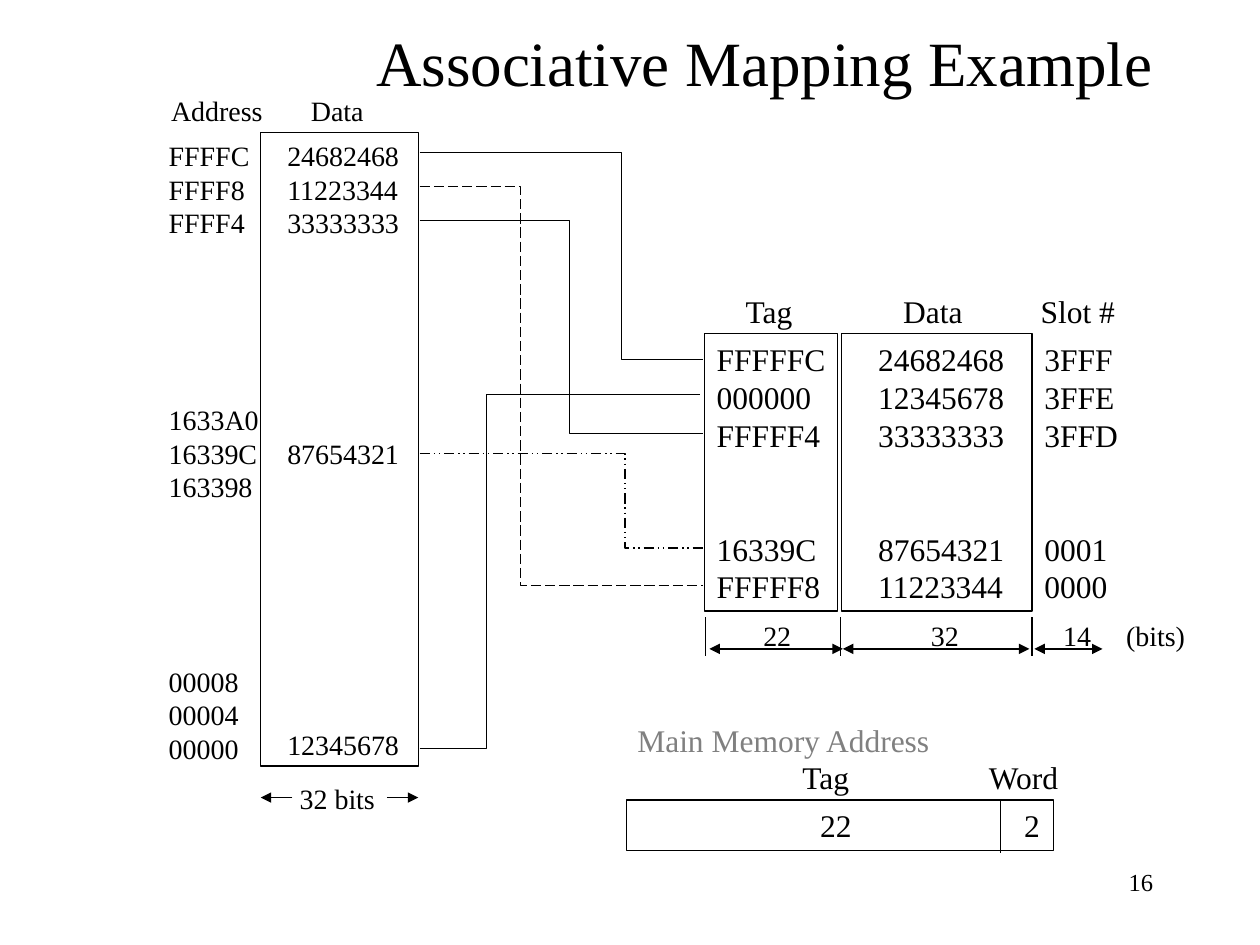
from lxml import etree
from pptx import Presentation
from pptx.dml.color import RGBColor
from pptx.enum.dml import MSO_LINE as Dash
from pptx.enum.shapes import MSO_CONNECTOR as Connector, MSO_SHAPE as Shape
from pptx.enum.text import MSO_ANCHOR as Anchor, MSO_AUTO_SIZE as AutoSize, PP_ALIGN as Align
from pptx.oxml.ns import qn
from pptx.util import Inches, Pt

FONT = "Times New Roman"
BLACK = "000000"
GREY = "808080"


def rgb(color):
    return RGBColor.from_string(color)


def write(shape, lines, size=16, colors=(BLACK,), align=Align.LEFT, anchor=Anchor.TOP,
          indent=0.1, right=0, tabs=(), gaps=None):
    frame = shape.text_frame
    frame.word_wrap = True
    frame.auto_size = AutoSize.NONE
    frame.vertical_anchor = anchor
    frame.margin_left, frame.margin_right = Inches(indent), Inches(right)
    frame.margin_top = frame.margin_bottom = Inches(0.05)
    for index, line in enumerate(lines):
        paragraph = frame.paragraphs[0] if index == 0 else frame.add_paragraph()
        paragraph.text = line
        paragraph.alignment = align
        paragraph.space_before = Pt((gaps or {}).get(index, 0))
        if tabs:
            tab_list = etree.SubElement(paragraph._p.get_or_add_pPr(), qn("a:tabLst"))
            for position in tabs:
                etree.SubElement(tab_list, qn("a:tab"), pos=str(Inches(position)), algn="l")
        paragraph.font.name = FONT
        paragraph.font.size = Pt(size)
        paragraph.font.color.rgb = rgb(colors[min(index, len(colors) - 1)])


def add_text(slide, box, lines, **style):
    shape = slide.shapes.add_textbox(*map(Inches, box))
    write(shape, lines, **style)


def outline(shape, width=0.75):
    shape.shadow.inherit = False
    shape.fill.background()
    shape.line.color.rgb = rgb(BLACK)
    shape.line.width = Pt(width)


def add_frame(slide, box, lines, **style):
    shape = slide.shapes.add_shape(Shape.RECTANGLE, *map(Inches, box))
    outline(shape)
    write(shape, lines, **style)


def add_line(slide, start, end, arrows=()):
    line = slide.shapes.add_connector(Connector.STRAIGHT, *map(Inches, (*start, *end)))
    line.line.color.rgb = rgb(BLACK)
    line.line.width = Pt(0.75)
    for arrow in arrows:
        etree.SubElement(line.line._get_or_add_ln(), qn(f"a:{arrow}"), type="triangle")
    etree.SubElement(line._element.spPr, qn("a:effectLst"))


def add_link(slide, start_y, bend_x, end_y, end_x=5.58, width=0.75, dash=None):
    builder = slide.shapes.build_freeform(Inches(3.33), Inches(start_y))
    corners = [(bend_x, start_y), (bend_x, end_y), (end_x, end_y)]
    builder.add_line_segments([(Inches(x), Inches(y)) for x, y in corners], close=False)
    link = builder.convert_to_shape()
    outline(link, width)
    if dash:
        link.line.dash_style = dash


def add_heading(slide, box):
    title = slide.shapes.title
    title.left, title.top, title.width, title.height = map(Inches, box)
    write(title, ["Associative Mapping Example"], size=36, align=Align.RIGHT,
          anchor=Anchor.MIDDLE, right=0.1)


def add_memory(slide, left, top):
    addresses = ["FFFFC", "FFFF8", "FFFF4", "1633A0", "16339C", "163398",
                 "00008", "00004", "00000"]
    words = ["24682468", "11223344", "33333333", "87654321", "12345678"]
    frame_left, frame_width = left + 0.83, 1.25
    add_text(slide, (left, top, 0.91, 5.07), addresses, gaps={3: 93.5, 6: 91.7})
    add_text(slide, (left + 0.02, top - 0.36, 1.73, 0.37), ["Address\tData"], tabs=[1.11])
    add_frame(slide, (frame_left, top, frame_width, 5.03), words,
              indent=0.21, gaps={3: 113, 4: 146.6})
    add_text(slide, (left + 1.04, top + 5.1, 0.79, 0.37), ["32 bits"])
    arrow_y = top + 5.28
    frame_right = frame_left + frame_width
    add_line(slide, (frame_left + 0.25, arrow_y), (frame_left, arrow_y), ["tailEnd"])
    add_line(slide, (frame_right - 0.25, arrow_y), (frame_right, arrow_y), ["tailEnd"])


def add_cache(slide, left, top):
    tags = ["FFFFFC", "000000", "FFFFF4", "16339C", "FFFFF8"]
    words = ["24682468", "12345678", "33333333", "87654321", "11223344"]
    slots = ["3FFF", "3FFE", "3FFD", "0001", "0000"]
    column = {"size": 18, "gaps": {3: 43.5}}
    add_frame(slide, (left, top, 1.06, 2.2), tags, **column)
    add_frame(slide, (left + 1.09, top, 1.51, 2.2), words, indent=0.29, **column)
    add_text(slide, (left + 2.6, top, 0.78, 2.2), slots, **column)
    add_text(slide, (left + 0.23, top - 0.38, 3.15, 0.4), ["Tag\tData\tSlot #"],
             size=18, tabs=[1.25, 2.34])
    for offset in (0.01, 1.08, 2.6):
        add_line(slide, (left + offset, top + 2.25), (left + offset, top + 2.56))
    add_text(slide, (left + 0.37, top + 2.21, 3.6, 0.37), ["22\t32\t14\t(bits)"],
             tabs=[1.33, 2.38, 2.88])
    for start, end in ((0.04, 1.1), (1.1, 2.58), (2.62, 3.16)):
        add_line(slide, (left + start, top + 2.5), (left + end, top + 2.5),
                 ["headEnd", "tailEnd"])


def add_links(slide):
    add_link(slide, 1.21, 4.93, 2.85, width=0.25)
    add_link(slide, 5.94, 3.86, 3.13, end_x=5.56)
    add_link(slide, 1.48, 4.13, 4.65, dash=Dash.LONG_DASH)
    add_link(slide, 3.6, 4.96, 4.35, dash=Dash.DASH_DOT_DOT)
    add_link(slide, 1.75, 4.52, 3.44)


def add_address_format(slide, left, top):
    add_text(slide, (left, top, 3.59, 0.7), ["Main Memory Address", "\tTag\tWord"],
             size=18, colors=(GREY, BLACK), tabs=[1.31, 2.79])
    add_frame(slide, (left + 0.01, top + 0.68, 3.39, 0.4), ["\t22\t2"],
              size=18, tabs=[1.44, 3.06])
    add_line(slide, (left + 2.98, top + 0.68), (left + 2.98, top + 1.1))


def main():
    presentation = Presentation()
    presentation.slide_width, presentation.slide_height = Inches(10), Inches(7.5)
    slide = presentation.slides.add_slide(presentation.slide_layouts[5])
    add_text(slide, (7.17, 6.83, 2.08, 0.5), ["16"], size=14, align=Align.RIGHT, right=0.1)
    add_heading(slide, (0.75, 0, 8.5, 0.98))
    add_memory(slide, 1.24, 1.05)
    add_cache(slide, 5.59, 2.65)
    add_links(slide)
    add_address_format(slide, 4.96, 5.67)
    presentation.save("out.pptx")


if __name__ == "__main__":
    main()
